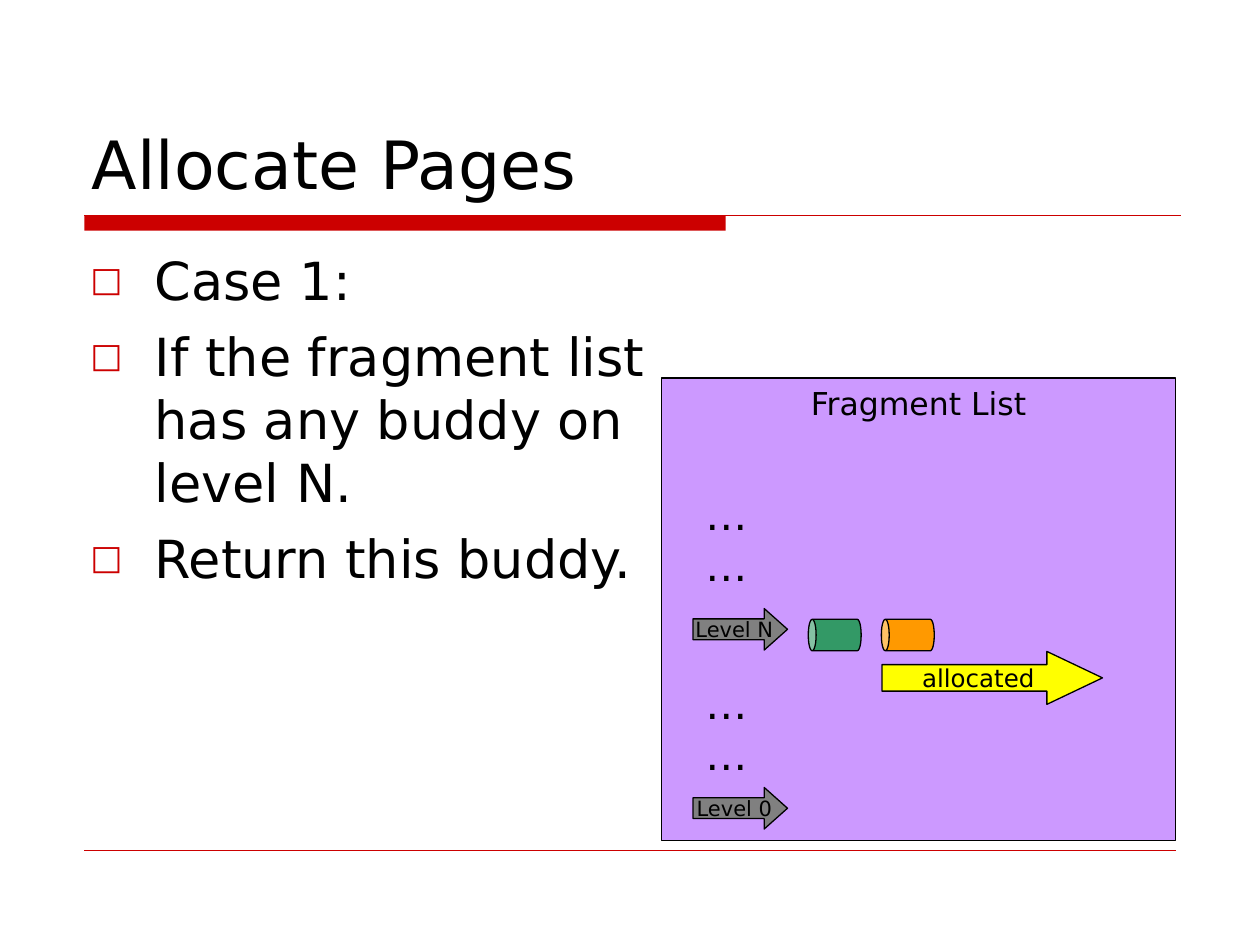
from lxml import etree
from pptx import Presentation
from pptx.dml.color import RGBColor
from pptx.enum import shapes, text
from pptx.oxml import ns
from pptx.util import Inches, Pt

COLORS = {"ink": "000000", "red": "CC0000", "panel": "CC99FF", "level": "808080",
          "green": "339966", "orange": "FF9900", "yellow": "FFFF00"}
FONT = "DejaVu Sans"
MARGINS = {"margin_left": 0.1, "margin_right": 0.1, "margin_top": 0.05, "margin_bottom": 0.05}
SHAPE = shapes.MSO_SHAPE
ANCHOR = text.MSO_ANCHOR
ALIGN = text.PP_ALIGN


def color(name):
    return RGBColor.from_string(COLORS[name])


def box(x, y, w, h):
    return [Inches(v) for v in (x, y, w, h)]


def write(sp, lines, size, align=ALIGN.LEFT, anchor=ANCHOR.TOP, wrap=True, gap=0, bullet=False):
    tf = sp.text_frame
    settings = {"word_wrap": wrap, "vertical_anchor": anchor, "auto_size": text.MSO_AUTO_SIZE.NONE}
    settings.update({side: Inches(v) for side, v in MARGINS.items()})
    for name, value in settings.items():
        setattr(tf, name, value)
    for i, line in enumerate(lines):
        p = tf.paragraphs[0] if i == 0 else tf.add_paragraph()
        p.alignment = align
        p.space_before = Pt(gap if i else 0)
        if bullet:
            add_bullet(p)
        r = p.add_run()
        r.text = line
        for name, value in {"name": FONT, "size": Pt(size), "bold": False}.items():
            setattr(r.font, name, value)
        r.font.color.rgb = color("ink")


def add_bullet(p):
    pPr = p._p.get_or_add_pPr()
    pPr.set("marL", str(Inches(0.51)))
    pPr.set("indent", str(Inches(-0.51)))
    clr = etree.SubElement(pPr, ns.qn("a:buClr"))
    etree.SubElement(clr, ns.qn("a:srgbClr"), val=COLORS["red"])
    etree.SubElement(pPr, ns.qn("a:buSzPct"), val="65000")
    etree.SubElement(pPr, ns.qn("a:buFont"), typeface=FONT)
    etree.SubElement(pPr, ns.qn("a:buChar"), char="□")


def add_block(s, kind, bounds, fill, line="ink"):
    sp = s.shapes.add_shape(kind, *box(*bounds))
    sp.shadow.inherit = False
    sp.fill.solid()
    sp.fill.fore_color.rgb = color(fill)
    if line:
        sp.line.color.rgb = color(line)
        sp.line.width = Pt(0.75)
    else:
        sp.line.fill.background()
    return sp


def add_rule(s, x1, x2, y, width):
    line = s.shapes.add_connector(shapes.MSO_CONNECTOR.STRAIGHT, *box(x1, y, x2, y))
    line.line.color.rgb = color("red")
    line.line.width = Pt(width)
    etree.SubElement(line._element.spPr, ns.qn("a:effectLst"))


def add_arrow(s, bounds, fill, label, size, head):
    sp = add_block(s, SHAPE.RIGHT_ARROW, bounds, fill)
    sp.adjustments[1] = head
    write(sp, [label], size, ALIGN.CENTER, ANCHOR.MIDDLE, wrap=False)


def add_buddy(s, x, y, fill):
    sp = add_block(s, SHAPE.CAN, (x, y, 0.25, 0.42), fill)
    sp.adjustments[0] = 0.25
    sp.rotation = 270


def add_text(s, bounds, lines, size, **options):
    write(s.shapes.add_textbox(*box(*bounds)), lines, size, **options)


def add_title(s, title):
    sp = s.shapes.title
    sp.left, sp.top, sp.width, sp.height = box(0.63, 0.33, 8.75, 1.33)
    write(sp, [title], 38, anchor=ANCHOR.BOTTOM)


def main():
    prs = Presentation()
    prs.slide_width, prs.slide_height = Inches(10), Inches(7.5)
    s = prs.slides.add_slide(prs.slide_layouts[5])
    add_block(s, SHAPE.RECTANGLE, (0.67, 1.71, 5.09, 0.12), "red", None)
    add_rule(s, 0.67, 9.37, 1.71, 0.75)
    add_rule(s, 0.67, 9.33, 6.75, 0.25)
    add_title(s, "Allocate Pages")

    panel = add_block(s, SHAPE.RECTANGLE, (5.25, 3, 4.08, 3.67), "panel")
    write(panel, ["Fragment List"], 18, ALIGN.CENTER, wrap=False)
    for label, y in (("Level N", 4.83), ("Level 0", 6.25)):
        add_arrow(s, (5.5, y, 0.75, 0.33), "level", label, 12, 0.56)
    for y in (3.83, 5.33):
        add_text(s, (5.5, y, 0.75, 0.5), ["……"], 24)
    for x, fill in ((6.5, "green"), (7.08, "orange")):
        add_buddy(s, x, 4.83, fill)
    add_arrow(s, (7, 5.17, 1.75, 0.42), "yellow", "allocated", 14, 1.05)

    steps = ["Case 1:", "If the fragment list has any buddy on level N.", "Return this buddy."]
    add_text(s, (0.62, 1.92, 4.63, 4.67), steps, 30, gap=7.5, bullet=True)
    prs.save("out.pptx")


if __name__ == "__main__":
    main()
